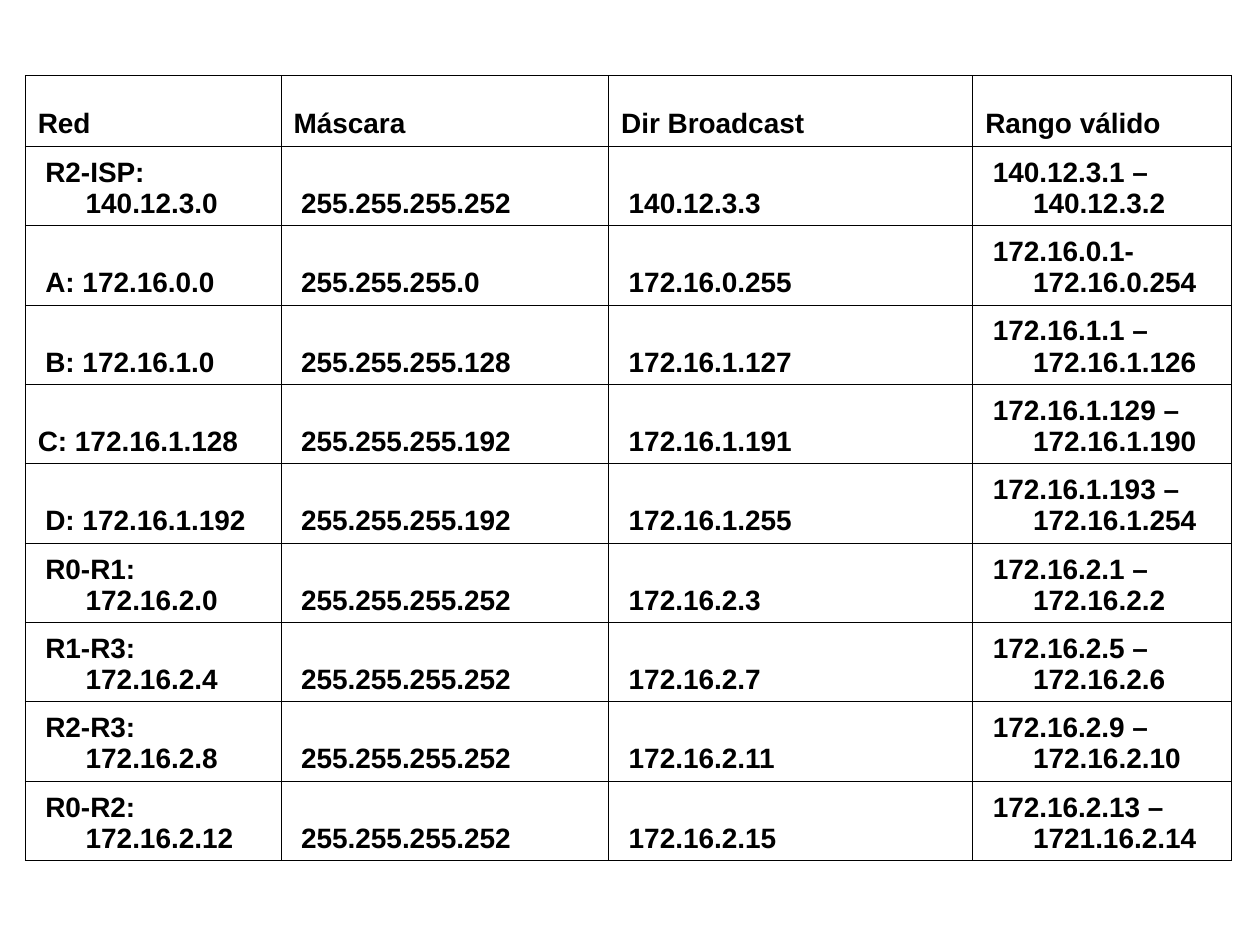
from lxml import etree
from pptx import Presentation
from pptx.dml.color import RGBColor
from pptx.enum.text import MSO_ANCHOR
from pptx.oxml.ns import qn
from pptx.util import Inches, Pt

BLACK = RGBColor(0x00, 0x00, 0x00)
BOTTOM = MSO_ANCHOR.BOTTOM
BLANK_LAYOUT = 6

HEADINGS = ("Red", "Máscara", "Dir Broadcast", "Rango válido")
SUBNETS = (
    ("R2-ISP: 140.12.3.0", "255.255.255.252", "140.12.3.3", "140.12.3.1 – 140.12.3.2"),
    ("A: 172.16.0.0", "255.255.255.0", "172.16.0.255", "172.16.0.1-172.16.0.254"),
    ("B: 172.16.1.0", "255.255.255.128", "172.16.1.127", "172.16.1.1 – 172.16.1.126"),
    ("C: 172.16.1.128", "255.255.255.192", "172.16.1.191", "172.16.1.129 – 172.16.1.190"),
    ("D: 172.16.1.192", "255.255.255.192", "172.16.1.255", "172.16.1.193 – 172.16.1.254"),
    ("R0-R1: 172.16.2.0", "255.255.255.252", "172.16.2.3", "172.16.2.1 – 172.16.2.2"),
    ("R1-R3: 172.16.2.4", "255.255.255.252", "172.16.2.7", "172.16.2.5 – 172.16.2.6"),
    ("R2-R3: 172.16.2.8", "255.255.255.252", "172.16.2.11", "172.16.2.9 – 172.16.2.10"),
    ("R0-R2: 172.16.2.12", "255.255.255.252", "172.16.2.15", "172.16.2.13 – 1721.16.2.14"),
)
FLUSH_TEXTS = HEADINGS + ("C: 172.16.1.128",)
COLUMN_WIDTHS = (2.03, 2.6, 2.89, 2.05)
ROW_HEIGHTS = (0.56,) + (0.63,) * len(SUBNETS)


class AddressingSlide:
    """Holds the table style and the slide that shows the address plan."""

    font_format = {"name": "Arial", "size": Pt(16), "bold": True}
    cell_format = {
        "vertical_anchor": BOTTOM,
        "margin_left": Inches(0.1),
        "margin_right": Inches(0.1),
        "margin_top": Inches(0.05),
        "margin_bottom": Inches(0.05),
    }
    hanging = 0.38
    inset = 0.06
    border_width = Pt(0.45)

    def __init__(self, presentation):
        self.slide = presentation.slides.add_slide(presentation.slide_layouts[BLANK_LAYOUT])

    def add_borders(self, cell):
        properties = cell._tc.get_or_add_tcPr()
        for side in ("a:lnL", "a:lnR", "a:lnT", "a:lnB"):
            border = etree.SubElement(properties, qn(side), w=str(self.border_width))
            fill = etree.SubElement(border, qn("a:solidFill"))
            etree.SubElement(fill, qn("a:srgbClr"), val=str(BLACK))

    def fill_cell(self, cell, text):
        for attribute, value in self.cell_format.items():
            setattr(cell, attribute, value)
        self.add_borders(cell)
        cell.fill.background()
        cell.text = text
        paragraph = cell.text_frame.paragraphs[0]
        first_line = 0 if text in FLUSH_TEXTS else self.inset
        properties = paragraph._p.get_or_add_pPr()
        properties.set("marL", str(Inches(self.hanging)))
        properties.set("indent", str(Inches(first_line - self.hanging)))
        font = paragraph.runs[0].font
        for attribute, value in self.font_format.items():
            setattr(font, attribute, value)
        font.color.rgb = BLACK

    def add_table(self, left, top, column_widths, row_heights, records):
        table = self.slide.shapes.add_table(
            len(row_heights), len(column_widths), Inches(left), Inches(top),
            Inches(sum(column_widths)), Inches(sum(row_heights)),
        ).table
        table.first_row = table.horz_banding = False
        for column, width in zip(table.columns, column_widths):
            column.width = Inches(width)
        for row, height, record in zip(table.rows, row_heights, records):
            row.height = Inches(height)
            for cell, text in zip(row.cells, record):
                self.fill_cell(cell, text)


def main():
    presentation = Presentation()
    presentation.slide_width = Inches(10)
    presentation.slide_height = Inches(7.5)
    addressing = AddressingSlide(presentation)
    addressing.add_table(0.2, 0.6, COLUMN_WIDTHS, ROW_HEIGHTS, (HEADINGS,) + SUBNETS)
    presentation.save("out.pptx")


if __name__ == "__main__":
    main()
